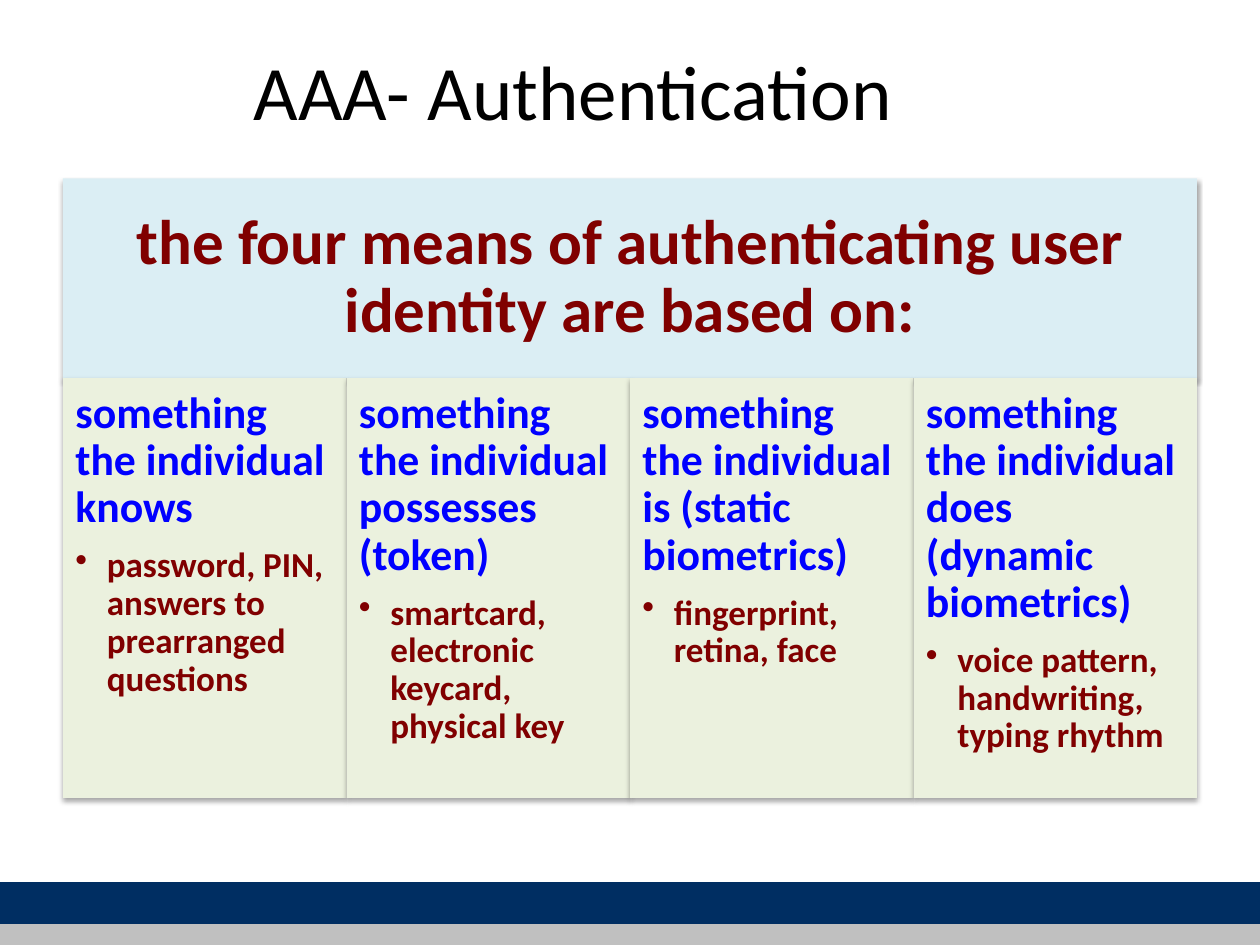
from dataclasses import dataclass

from lxml import etree
from pptx import Presentation
from pptx.dml.color import RGBColor as RGB
from pptx.enum.shapes import MSO_SHAPE as Shape
from pptx.enum.text import MSO_ANCHOR as Anchor, PP_ALIGN as Align
from pptx.oxml import parse_xml
from pptx.oxml.ns import nsdecls, qn
from pptx.util import Inches, Pt


@dataclass(frozen=True)
class Theme:
    font: str = "Calibri"
    black: str = "000000"
    navy: str = "002E62"
    silver: str = "C0C0C0"
    sky: str = "DBEEF4"
    sage: str = "EBF1DE"
    maroon: str = "800000"
    blue: str = "0000FF"
    title_size: int = 44
    header_size: int = 36
    lead_size: int = 25
    bullet_size: int = 20


class Deck:
    """Places elements on a grid of 120 columns by 90 rows."""

    COLS, ROWS = 120, 90

    def __init__(self, theme):
        self.theme = theme
        self.prs = Presentation()
        self.prs.slide_width, self.prs.slide_height = Inches(10), Inches(7.5)
        self.s = self.prs.slides.add_slide(self.prs.slide_layouts[6])

    def box(self, col, row, cols, rows):
        dx = self.prs.slide_width / self.COLS
        dy = self.prs.slide_height / self.ROWS
        return round(col * dx), round(row * dy), round(cols * dx), round(rows * dy)

    def band(self, place, color):
        sp = self.s.shapes.add_shape(Shape.RECTANGLE, *self.box(*place))
        sp.shadow.inherit = False
        sp.fill.solid()
        sp.fill.fore_color.rgb = RGB.from_string(color)
        sp.line.fill.background()
        return sp

    def panel(self, place, color, inset, anchor=Anchor.TOP):
        sp = self.band(place, color)
        # Soft shadow straight below the panel
        effects = sp._element.spPr.find(qn("a:effectLst"))
        effects.append(parse_xml(
            f'<a:outerShdw {nsdecls("a")} blurRad="{Pt(3.1)}" dist="{Pt(1.8)}" '
            'dir="5400000" rotWithShape="0"><a:srgbClr val="000000">'
            '<a:alpha val="35000"/></a:srgbClr></a:outerShdw>'))
        return self.frame(sp, anchor, inset, inset)

    def title(self, place, text):
        sp = self.s.shapes.add_textbox(*self.box(*place))
        tf = self.frame(sp, Anchor.MIDDLE, 0.1, 0.05)
        self.style(tf.paragraphs[0], text, self.theme.title_size, self.theme.black)

    def frame(self, sp, anchor, inset_x, inset_y):
        tf = sp.text_frame
        tf.word_wrap = True
        tf.vertical_anchor = anchor
        tf.margin_left = tf.margin_right = Inches(inset_x)
        tf.margin_top = tf.margin_bottom = Inches(inset_y)
        return tf

    def style(self, p, text, size, color, bold=False, align=Align.LEFT):
        p.text = text
        p.alignment = align
        p.font.name, p.font.size, p.font.bold = self.theme.font, Pt(size), bold
        p.font.color.rgb = RGB.from_string(color)

    def body(self, p, text, size, color, after, align=Align.LEFT):
        self.style(p, text, size, color, True, align)
        p.line_spacing = 0.9
        p.space_after = Pt(size * after)

    def bullet(self, p, text):
        self.body(p, text, self.theme.bullet_size, self.theme.maroon, 0.15)
        p.level = 1
        pPr = p._p.get_or_add_pPr()
        pPr.set("marL", str(Inches(0.25)))
        pPr.set("indent", str(-Inches(0.25)))
        mark = etree.Element(qn("a:buChar"), char="•")
        pPr.find(qn("a:spcAft")).addnext(mark)


MEANS = [
    ("something the individual knows",
     "password, PIN, answers to prearranged questions"),
    ("something the individual possesses (token)",
     "smartcard, electronic keycard, physical key"),
    ("something the individual is (static biometrics)",
     "fingerprint, retina, face"),
    ("something the individual does (dynamic biometrics)",
     "voice pattern, handwriting, typing rhythm"),
]


def main():
    theme = Theme()
    deck = Deck(theme)

    # Footer bands and title
    deck.band((0, 84, 120, 4), theme.navy)
    deck.band((0, 88, 120, 2), theme.silver)
    deck.title((23, 1, 95, 15), "AAA- Authentication")

    # Header across all columns
    left, width = 6, 108
    tf = deck.panel((left, 17, width, 19), theme.sky, 0.15, Anchor.MIDDLE)
    deck.body(tf.paragraphs[0],
              "the four means of authenticating user identity are based on:",
              theme.header_size, theme.maroon, 0.35, Align.CENTER)

    # One panel for each means of authentication
    step = width / len(MEANS)
    for i, (lead, examples) in enumerate(MEANS):
        tf = deck.panel((left + i * step, 36, step, 40), theme.sage, 0.1)
        deck.body(tf.paragraphs[0], lead, theme.lead_size, theme.blue, 0.35)
        deck.bullet(tf.add_paragraph(), examples)

    deck.prs.save("out.pptx")


if __name__ == "__main__":
    main()
